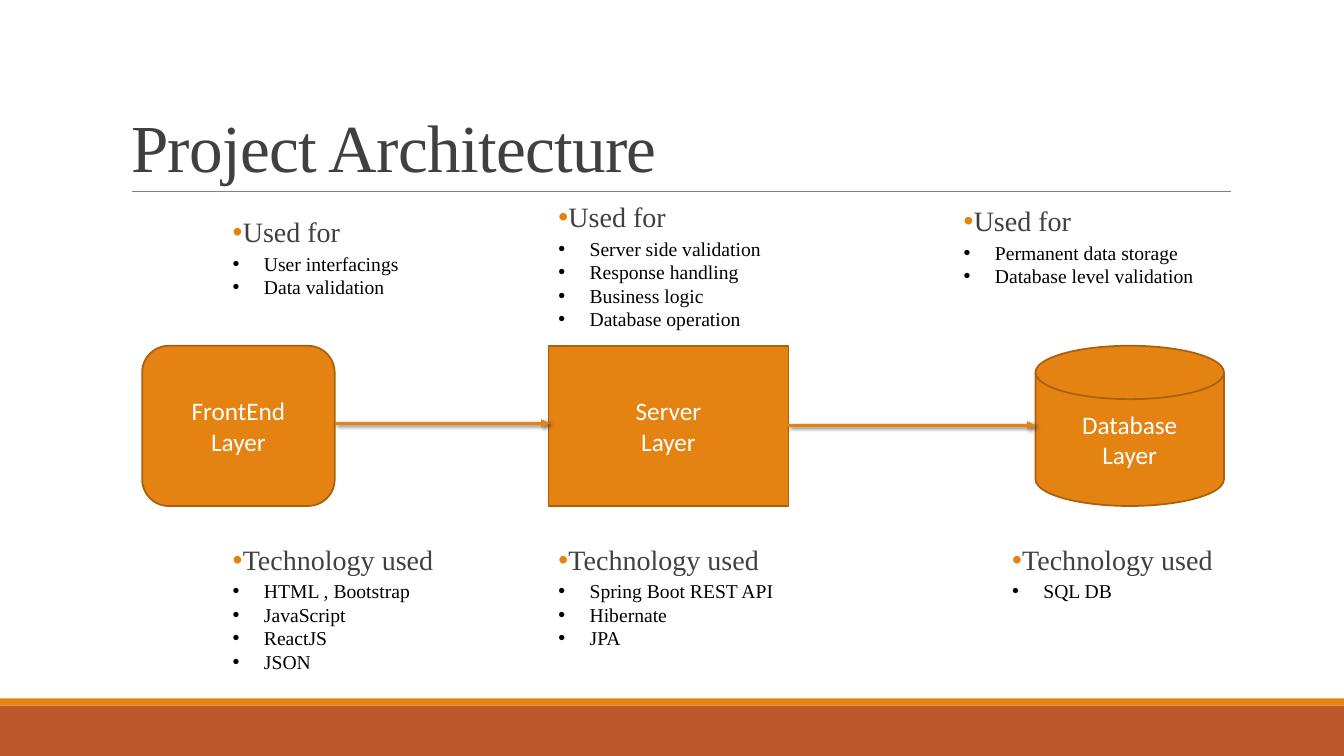
from dataclasses import dataclass
from typing import Any

import pptx
import pptx.dml.color
import pptx.enum.shapes
import pptx.enum.text
import pptx.oxml
import pptx.oxml.ns
import pptx.util

Inches = pptx.util.Inches
Pt = pptx.util.Pt
KIND = pptx.enum.shapes.MSO_SHAPE
WIRE = pptx.enum.shapes.MSO_CONNECTOR
ALIGN = pptx.enum.text.PP_ALIGN
ANCHOR = pptx.enum.text.MSO_ANCHOR
FIT = pptx.enum.text.MSO_AUTO_SIZE

HUES = {
    "orange": "E48312",
    "rust": "BD582C",
    "edge": "A9610D",
    "rule": "808080",
    "dark": "404040",
    "black": "000000",
    "white": "FFFFFF",
}
SERIF = "Times New Roman"
TITLE = {"size": Pt(48), "name": SERIF}
HEAD = {"size": Pt(20), "name": SERIF}
ITEM = {"size": Pt(14), "name": SERIF}
LABEL = {"size": Pt(18), "name": "Calibri"}
HEAD_GAP = {"line_spacing": 0.9, "space_before": Pt(12), "space_after": Pt(2)}
SHADOW = (
    '<a:outerShdw blurRad="38100" dist="25400" dir="2700000" algn="ctr" rotWithShape="0">'
    '<a:srgbClr val="{}"><a:alpha val="60000"/></a:srgbClr></a:outerShdw>'
)


@dataclass
class Block:
    kind: Any
    left: float
    top: float
    width: float
    height: float
    fill: str
    edge: str = ""
    text: str = ""


@dataclass
class Link:
    start: float
    end: float
    top: float
    hue: str
    weight: float
    arrow: bool = True


@dataclass
class Notes:
    left: float
    top: float
    width: float
    height: float
    head: str
    items: list[str]


BANDS = [
    Block(KIND.RECTANGLE, 0, 7, 13.33, 0.5, "rust"),
    Block(KIND.RECTANGLE, 0, 6.93, 13.33, 0.07, "orange"),
]
LAYERS = [
    Block(KIND.FLOWCHART_MAGNETIC_DISK, 10.27, 3.43, 1.87, 1.59, "orange", "edge", "Database\nLayer"),
    Block(KIND.ROUNDED_RECTANGLE, 1.41, 3.43, 1.91, 1.59, "orange", "edge", "FrontEnd\nLayer"),
    Block(KIND.RECTANGLE, 5.44, 3.43, 2.38, 1.59, "orange", "edge", "Server\nLayer"),
]
RULE = Link(1.31, 12.21, 1.9, "rule", 0.5, False)
LINKS = [
    Link(3.32, 5.45, 4.2, "orange", 2),
    Link(7.82, 10.27, 4.22, "orange", 2),
]
USE, TECH = "Used for", "Technology used"
NOTES = [
    Notes(2.21, 2.12, 2.46, 0.9, USE, ["User interfacings", "Data validation"]),
    Notes(5.44, 1.97, 2.53, 1.37, USE,
          ["Server side validation", "Response handling", "Business logic", "Database operation"]),
    Notes(9.46, 2.01, 2.53, 1.14, USE, ["Permanent data storage", "Database level validation"]),
    Notes(2.21, 5.37, 2.53, 1.37, TECH, ["HTML , Bootstrap", "JavaScript", "ReactJS", "JSON"]),
    Notes(5.44, 5.37, 2.53, 1.14, TECH, ["Spring Boot REST API", "Hibernate", "JPA"]),
    Notes(9.94, 5.37, 2.53, 0.67, TECH, ["SQL DB"]),
]


def tint(hue: str) -> Any:
    return pptx.dml.color.RGBColor.from_string(HUES[hue])


def apply(thing: Any, look: dict[str, Any]) -> None:
    for key, value in look.items():
        setattr(thing, key, value)


def style(font: Any, look: dict[str, Any], hue: str) -> None:
    apply(font, look)
    font.color.rgb = tint(hue)


def node(parent: Any, tag: str, **marks: str) -> Any:
    child = pptx.oxml.ns.qn("a:" + tag)
    made = parent.makeelement(child, marks)
    parent.append(made)
    return made


def draw_block(shapes: Any, block: Block) -> None:
    shape = shapes.add_shape(block.kind, Inches(block.left), Inches(block.top),
                             Inches(block.width), Inches(block.height))
    shape.shadow.inherit = False
    shape.fill.solid()
    shape.fill.fore_color.rgb = tint(block.fill)
    if block.edge:
        shape.line.color.rgb = tint(block.edge)
        shape.line.width = Pt(1.25)
    else:
        shape.line.fill.background()
    if block.text:
        frame = shape.text_frame
        frame.text = block.text
        apply(frame, {"word_wrap": True, "vertical_anchor": ANCHOR.MIDDLE})
        for para in frame.paragraphs:
            para.alignment = ALIGN.CENTER
            style(para.runs[0].font, LABEL, "white")


def draw_link(shapes: Any, link: Link) -> None:
    line = shapes.add_connector(WIRE.STRAIGHT, Inches(link.start), Inches(link.top),
                                Inches(link.end), Inches(link.top))
    line.line.color.rgb = tint(link.hue)
    line.line.width = Pt(link.weight)
    if link.arrow:
        node(line.get_or_add_ln(), "tailEnd", type="triangle")
    glow = node(line._element.spPr, "effectLst")
    if link.arrow:
        space = 'xmlns:a="http://schemas.openxmlformats.org/drawingml/2006/main"'
        text = SHADOW.format(HUES["black"]).replace("<a:outerShdw", "<a:outerShdw " + space)
        glow.append(pptx.oxml.parse_xml(text))


def add_point(para: Any, text: str, look: dict[str, Any], hue: str, dot: str, dent: float) -> None:
    run = para.add_run()
    run.text = text
    style(run.font, look, hue)
    props = para._p.get_or_add_pPr()
    props.set("marL", str(Inches(dent)))
    props.set("indent", str(-Inches(dent)))
    node(node(props, "buClr"), "srgbClr", val=HUES[dot])
    node(props, "buFont", typeface="Arial")
    node(props, "buChar", char="•")


def draw_notes(shapes: Any, notes: Notes) -> None:
    box = shapes.add_textbox(Inches(notes.left), Inches(notes.top),
                             Inches(notes.width), Inches(notes.height))
    frame = box.text_frame
    apply(frame, {"word_wrap": True, "auto_size": FIT.SHAPE_TO_FIT_TEXT})
    first = frame.paragraphs[0]
    apply(first, HEAD_GAP)
    add_point(first, notes.head, HEAD, "dark", "orange", 0.1)
    for item in notes.items:
        add_point(frame.add_paragraph(), item, ITEM, "black", "black", 0.31)


def draw_title(title: Any, text: str) -> None:
    apply(title, {"left": Inches(1.2), "top": Inches(0.31),
                  "width": Inches(11), "height": Inches(1.59)})
    frame = title.text_frame
    frame.text = text
    apply(frame, {"vertical_anchor": ANCHOR.BOTTOM, "word_wrap": True, "auto_size": FIT.NONE})
    para = frame.paragraphs[0]
    apply(para, {"alignment": ALIGN.LEFT, "line_spacing": 0.85})
    run = para.runs[0]
    style(run.font, TITLE, "dark")
    run._r.get_or_add_rPr().set("spc", "-50")


def main() -> None:
    deck = pptx.Presentation()
    apply(deck, {"slide_width": Inches(13.33), "slide_height": Inches(7.5)})
    slide = deck.slides.add_slide(deck.slide_layouts[5])
    shapes = slide.shapes
    draw_title(shapes.title, "Project Architecture")
    for block in BANDS + LAYERS:
        draw_block(shapes, block)
    for link in [RULE, *LINKS]:
        draw_link(shapes, link)
    for notes in NOTES:
        draw_notes(shapes, notes)
    deck.save("out.pptx")


if __name__ == "__main__":
    main()
